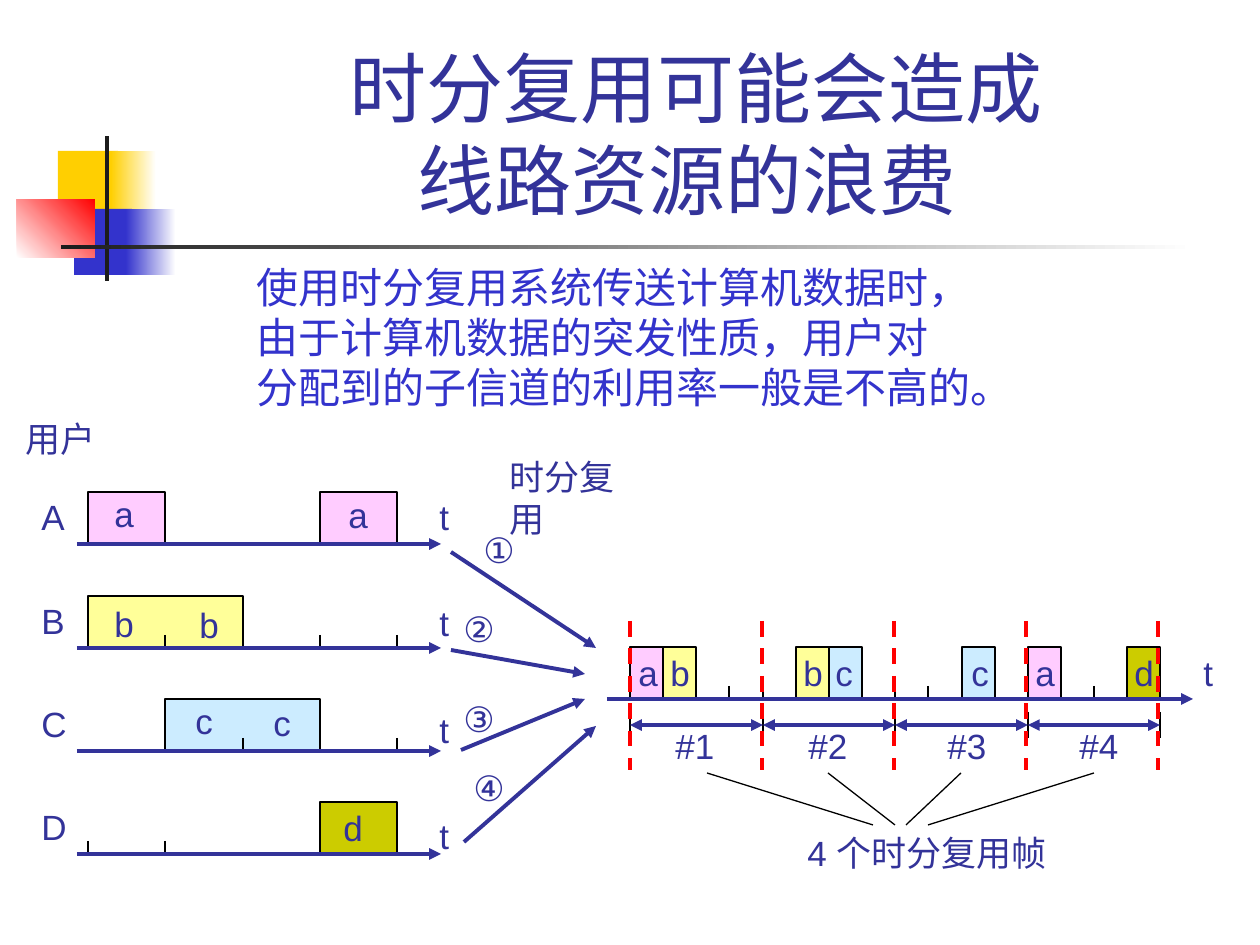
from dataclasses import dataclass
from typing import Optional

import pptx
import pptx.dml.color
import pptx.enum.dml
import pptx.enum.shapes
import pptx.enum.text
import pptx.oxml
import pptx.oxml.ns
import pptx.util

SCALE = 914400 / 126
COLORS = {
    "ink": "333399", "blue": "3333CC", "black": "000000", "dark": "1C1C1C",
    "gold": "FFCF01", "white": "FFFFFF", "red": "FF0000",
    "a": "FFCCFF", "b": "FFFF99", "c": "CCECFF", "d": "CCCC00",
}
BLOCK_HEIGHT = 52
TICK_HEIGHT = 13
USER_SLOTS = [88, 165, 243, 320, 397]
MUX_AXIS = 699
MUX_SLOTS = [630 + round(33.15 * i) for i in range(17)]
FRAME_EDGES = MUX_SLOTS[::4]


@dataclass
class Panel:
    left: int
    top: int
    width: int
    height: int
    color: str
    fade_to: Optional[str] = None
    angle: int = 0


@dataclass
class Block:
    first: int
    last: int
    kind: str


@dataclass
class Label:
    text: str
    left: int
    top: int
    width: int


@dataclass
class User:
    name: str
    axis: int
    t_top: int
    blocks: list[Block]
    ticks: list[int]


@dataclass
class Feed:
    label: Label
    start: tuple[int, int]
    end: tuple[int, int]


PANELS = [
    Panel(58, 151, 60, 66, "gold"),
    Panel(111, 151, 45, 66, "gold", "white"),
    Panel(74, 209, 58, 66, "blue"),
    Panel(126, 209, 50, 66, "blue", "white"),
    Panel(17, 199, 78, 59, "white", "red", 45),
    Panel(105, 136, 4, 145, "dark"),
    Panel(61, 245, 1134, 4, "dark", "white"),
]
USERS = [
    User("A", 544, 489, [Block(0, 1, "a"), Block(3, 4, "a")], []),
    User("B", 648, 595, [Block(0, 2, "b")], [1, 3, 4]),
    User("C", 751, 702, [Block(1, 3, "c")], [2, 4]),
    User("D", 854, 808, [Block(3, 4, "d")], [0, 1, 3]),
]
MUX_BLOCKS = [Block(i, i + 1, kind) for i, kind in
              [(0, "a"), (1, "b"), (5, "b"), (6, "c"), (10, "c"), (12, "a"), (15, "d")]]
MUX_TICKS = [2, 3, 4, 8, 9, 14]
FEEDS = [
    Feed(Label("①", 471, 522, 60), (451, 552), (596, 648)),
    Feed(Label("②", 451, 601, 60), (451, 650), (585, 674)),
    Feed(Label("③", 451, 691, 60), (461, 750), (585, 699)),
    Feed(Label("④", 461, 760, 60), (464, 842), (596, 726)),
]
POINTERS = [(707, 873), (828, 895), (961, 906), (1094, 928)]
BLOCK_LABELS = [
    Label("a", 102, 486, 45), Label("a", 336, 487, 45),
    Label("b", 102, 596, 45), Label("b", 187, 597, 45),
    Label("c", 183, 693, 43), Label("c", 261, 695, 43), Label("d", 331, 800, 45),
    Label("a", 626, 645, 45), Label("b", 658, 645, 45),
    Label("b", 791, 645, 45), Label("c", 823, 645, 43), Label("c", 959, 645, 43),
    Label("a", 1023, 645, 45), Label("d", 1122, 645, 45),
]
OTHER_LABELS = [
    Label("用户", 13, 411, 96), Label("时分复用", 497, 449, 165), Label("t", 1191, 645, 35),
    Label("#1", 663, 718, 64), Label("#2", 796, 718, 64),
    Label("#3", 935, 718, 64), Label("#4", 1067, 718, 64),
]


def px(value: int) -> int:
    return pptx.util.Emu(round(value * SCALE))


def rgb(name: str) -> pptx.dml.color.RGBColor:
    return pptx.dml.color.RGBColor.from_string(COLORS[name])


def draw_panel(page, panel: Panel) -> None:
    shape = page.shapes.add_shape(
        pptx.enum.shapes.MSO_SHAPE.RECTANGLE,
        px(panel.left), px(panel.top), px(panel.width), px(panel.height))
    shape.shadow.inherit = False
    shape.line.fill.background()
    if panel.fade_to is None:
        shape.fill.solid()
        shape.fill.fore_color.rgb = rgb(panel.color)
        return
    shape.fill.gradient()
    shape.fill.gradient_angle = panel.angle
    for stop, color in zip(shape.fill.gradient_stops, (panel.color, panel.fade_to)):
        stop.color.rgb = rgb(color)


def draw_block(page, block: Block, slots: list[int], axis: int) -> None:
    left, right, top = slots[block.first], slots[block.last], axis - BLOCK_HEIGHT
    builder = page.shapes.build_freeform(left, axis, SCALE)
    builder.add_line_segments([(left, top), (right, top), (right, axis)], close=False)
    shape = builder.convert_to_shape()
    shape.shadow.inherit = False
    shape.fill.solid()
    shape.fill.fore_color.rgb = rgb(block.kind)
    shape.line.color.rgb = rgb("black")
    shape.line.width = pptx.util.Pt(0.75)


def draw_line(page, start: tuple[int, int], end: tuple[int, int], color: str = "black",
              width: float = 0.75, arrows: tuple[str, ...] = (), dashed: bool = False) -> None:
    line = page.shapes.add_connector(
        pptx.enum.shapes.MSO_CONNECTOR.STRAIGHT, *map(px, start + end))
    line.line.color.rgb = rgb(color)
    line.line.width = pptx.util.Pt(width)
    if dashed:
        line.line.dash_style = pptx.enum.dml.MSO_LINE.DASH
    stroke = line.line._get_or_add_ln()
    for arrow in arrows:
        pptx.oxml.ns.qn("a:ln")
        stroke.append(pptx.oxml.parse_xml(
            f'<a:{arrow} {pptx.oxml.ns.nsdecls("a")} type="triangle"/>'))
    line._element.spPr.append(pptx.oxml.parse_xml(
        f'<a:effectLst {pptx.oxml.ns.nsdecls("a")}/>'))


def draw_arrow(page, start: tuple[int, int], end: tuple[int, int], double: bool = False) -> None:
    draw_line(page, start, end, "ink", 2.25, ("headEnd", "tailEnd") if double else ("tailEnd",))


def draw_ticks(page, ticks: list[int], slots: list[int], axis: int) -> None:
    for tick in ticks:
        draw_line(page, (slots[tick], axis - TICK_HEIGHT), (slots[tick], axis))


def draw_label(page, label: Label, height: int = 54, size: int = 20, color: str = "ink",
               font: str = "Arial", wrap: bool = False):
    box = page.shapes.add_textbox(px(label.left), px(label.top), px(label.width), px(height))
    frame = box.text_frame
    frame.text = label.text
    frame.word_wrap = wrap
    for para in frame.paragraphs:
        for span in para.runs:
            span.font.size = pptx.util.Pt(size)
            span.font.name = font
            span.font.color.rgb = rgb(color)
    return frame


def draw_users(page) -> None:
    for user in USERS:
        for block in user.blocks:
            draw_block(page, block, USER_SLOTS, user.axis)
        draw_ticks(page, user.ticks, USER_SLOTS, user.axis)
        draw_arrow(page, (77, user.axis), (441, user.axis))
        draw_label(page, Label(user.name, 29, user.axis - 55, 50))
        draw_label(page, Label("t", 427, user.t_top, 35))
    for feed in FEEDS:
        draw_arrow(page, feed.start, feed.end)
        draw_label(page, feed.label)


def draw_multiplexed_line(page) -> None:
    for block in MUX_BLOCKS:
        draw_block(page, block, MUX_SLOTS, MUX_AXIS)
    draw_ticks(page, MUX_TICKS, MUX_SLOTS, MUX_AXIS)
    draw_arrow(page, (607, MUX_AXIS), (1193, MUX_AXIS))
    for edge in FRAME_EDGES:
        draw_line(page, (edge, 712), (edge, 738))
    for left, right in zip(FRAME_EDGES, FRAME_EDGES[1:]):
        draw_arrow(page, (left, 725), (right, 725), double=True)
    for top_x, bottom_x in POINTERS:
        draw_line(page, (top_x, 773), (bottom_x, 825))


def main() -> None:
    deck = pptx.Presentation()
    deck.slide_width, deck.slide_height = px(1260), px(945)
    page = deck.slides.add_slide(deck.slide_layouts[6])
    for panel in PANELS:
        draw_panel(page, panel)
    title = draw_label(page, Label("时分复用可能会造成\v线路资源的浪费 ", 159, 29, 1074),
                       height=202, size=44, wrap=True)
    title.vertical_anchor = pptx.enum.text.MSO_ANCHOR.BOTTOM
    title.paragraphs[0].alignment = pptx.enum.text.PP_ALIGN.CENTER
    draw_users(page)
    draw_multiplexed_line(page)
    for label in BLOCK_LABELS + OTHER_LABELS:
        draw_label(page, label)
    draw_label(page, Label("4 个时分复用帧", 795, 825, 265), wrap=True)
    for i in range(5):
        draw_line(page, (630 + 132 * i, 621), (630 + 132 * i, 770), "red", 2.25, dashed=True)
    draw_label(page, Label("使用时分复用系统传送计算机数据时，\n由于计算机数据的突发性质，用户对\n"
                           "分配到的子信道的利用率一般是不高的。", 244, 255, 803),
               height=164, size=24, color="blue", font="Noto Sans CJK SC")
    deck.save("out.pptx")


if __name__ == "__main__":
    main()
